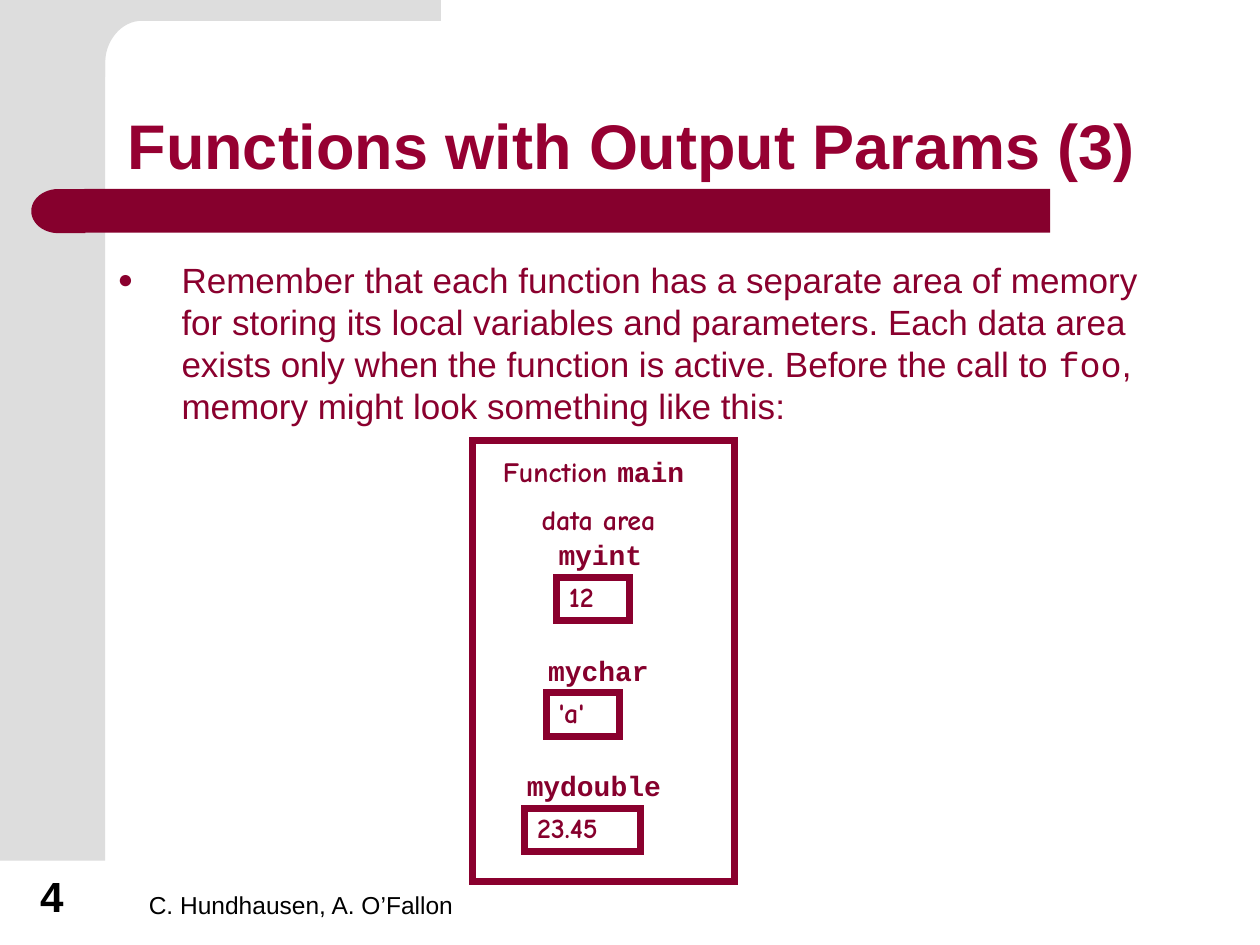
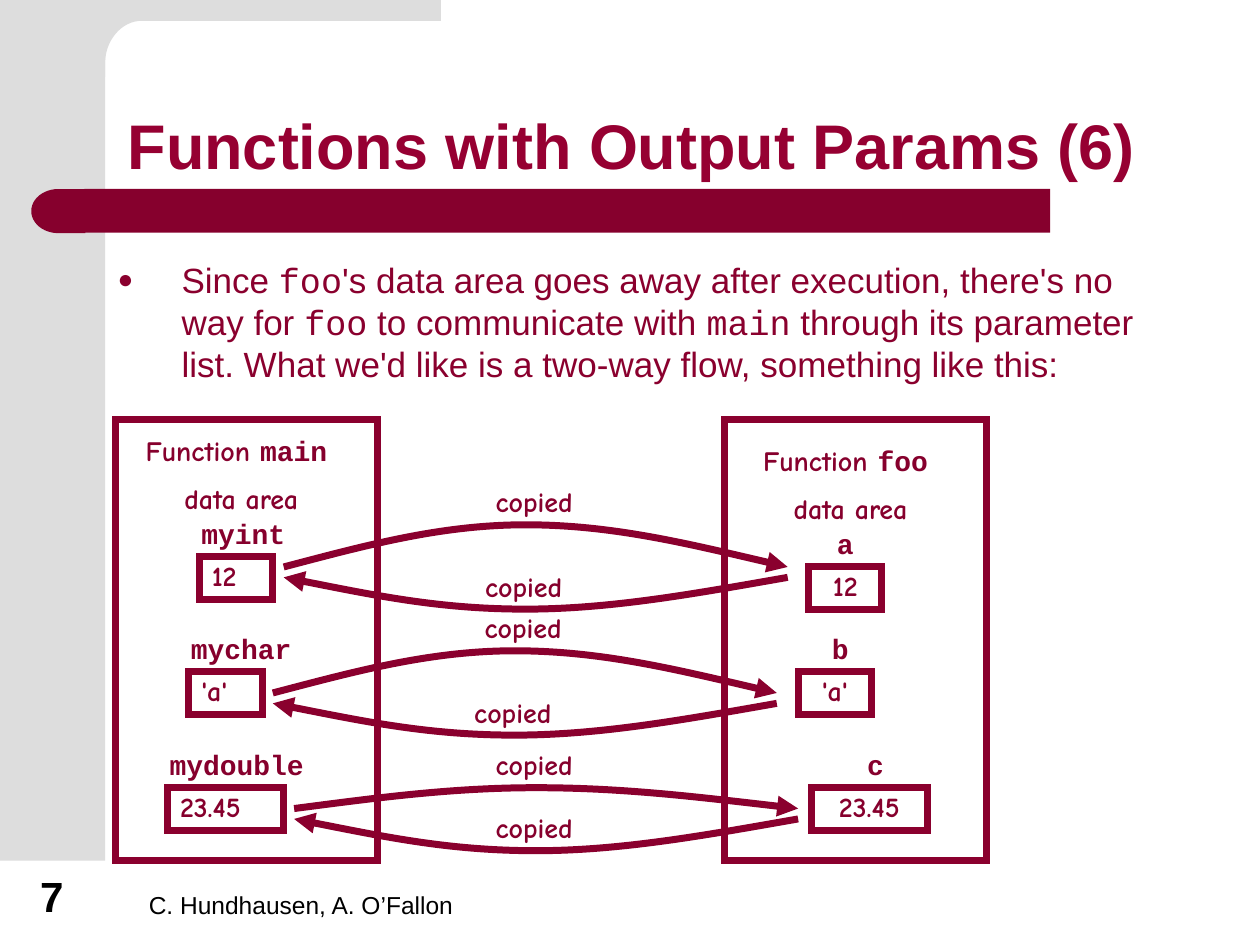
import lxml.etree
import pptx
import pptx.dml.color
import pptx.enum.shapes
import pptx.enum.text
import pptx.oxml.ns
import pptx.util

Cm = pptx.util.Cm
Pt = pptx.util.Pt
KIND = pptx.enum.shapes.MSO_SHAPE
ALIGN = pptx.enum.text.PP_ALIGN
ANCHOR = pptx.enum.text.MSO_ANCHOR
FIT = pptx.enum.text.MSO_AUTO_SIZE

HUE = {"band": "86002D", "line": "8A002E", "title": "960032", "side": "DDDDDD", "foot": "000000"}
SANS, HAND, CODE = "Arial", "Comic Neue", "Courier New"
STROKE = 4
ROW = 0.87
LIFT = 0.85
SPAN = 10.16

MAIN = [
    ("myint", "12", 1.69, 2.75, 1.48, -0.21, 2.54),
    ("mychar", "'a'", 1.48, 5.08, 1.48, -0.21, 2.97),
    ("mydouble", "23.45", 1.05, 7.41, 2.33, -0.21, 3.81),
]
FOO = [
    ("a", "12", 1.69, 2.96, 1.48, -0.21, 1.9),
    ("b", "'a'", 1.48, 5.08, 1.48, -0.21, 2.12),
    ("c", "23.45", 1.75, 7.41, 2.33, 0.23, 2.12),
]
FLOWS = [(5.72, 11.43, 0.85, 4.02), (5.5, 13.97, 0.85, 4.02), (5.93, 16.3, 0.42, 3.81)]
KNOTS = [(0, 0), (0.16, 0.5), (0.31, 1), (0.48, 1), (0.65, 1), (0.82, 0.5), (1, 0)]


def tint(name):
    """Return the named colour."""
    return pptx.dml.color.RGBColor.from_string(HUE[name])


def node(parent, tag, **attrs):
    """Append a drawing element to a parent."""
    return lxml.etree.SubElement(parent, pptx.oxml.ns.qn("a:" + tag), **attrs)


def write(para, runs, size, color, bold=False):
    """Add (text, font) runs to a paragraph."""
    for text, font in runs:
        run = para.add_run()
        run.text = text
        run.font.name = font
        run.font.size = Pt(size)
        run.font.bold = bold
        run.font.color.rgb = tint(color)


def text_box(slide, box):
    """Add a wrapping text box and return it."""
    shape = slide.shapes.add_textbox(*map(Cm, box))
    shape.text_frame.word_wrap = True
    return shape


def note(shape, lines, align=ALIGN.LEFT):
    """Fill a shape with bold diagram text."""
    frame = shape.text_frame
    frame.word_wrap = True
    frame.auto_size = FIT.SHAPE_TO_FIT_TEXT
    frame.vertical_anchor = ANCHOR.TOP
    for i, runs in enumerate(lines):
        para = frame.add_paragraph() if i else frame.paragraphs[0]
        para.alignment = align
        para.line_spacing = 0.9
        para.space_before = Pt(10)
        write(para, runs, 16, "band", True)


def solid(shape, color):
    """Give a shape a flat fill without outline."""
    shape.shadow.inherit = False
    shape.fill.solid()
    shape.fill.fore_color.rgb = tint(color)
    shape.line.fill.background()


def stroke(shape):
    """Give a shape the thick outline and no fill."""
    shape.shadow.inherit = False
    shape.fill.background()
    shape.line.color.rgb = tint("line")
    shape.line.width = Pt(STROKE)
    return shape.line._get_or_add_ln()


def frame_box(slide, box):
    """Add an outlined rectangle with sharp corners."""
    shape = slide.shapes.add_shape(KIND.RECTANGLE, *map(Cm, box))
    node(stroke(shape), "miter", lim="800000")
    return shape


def outline(slide, points, bends, close=False):
    """Build a freeform whose segments from each bend index form a cubic curve."""
    dots = [(Cm(x), Cm(y)) for x, y in points]
    pen = slide.shapes.build_freeform(*dots[0])
    pen.add_line_segments(dots[1:], close=close)
    shape = pen.convert_to_shape()
    lines = list(shape._element.iter(pptx.oxml.ns.qn("a:lnTo")))
    for start in bends:
        cubic = lxml.etree.Element(pptx.oxml.ns.qn("a:cubicBezTo"))
        lines[start].addprevious(cubic)
        for line in lines[start:start + 3]:
            cubic.append(line[0])
            line.getparent().remove(line)
    return shape


def backdrop(slide):
    """Draw the grey side, its rounded corner and the band."""
    side = slide.shapes.add_shape(KIND.RECTANGLE, 0, 0, Cm(2.12), Cm(17.35))
    solid(side, "side")
    edge = [(1.27, 0), (8.89, 0), (8.89, 0.42), (2.86, 0.42),
            (2.45, 0.42), (2.12, 0.82), (2.12, 1.27), (2.12, 1.55), (1.27, 1.55)]
    solid(outline(slide, edge, [3], True), "side")
    band = slide.shapes.add_shape(KIND.RECTANGLE, Cm(1.7), Cm(3.81), Cm(19.47), Cm(0.88))
    solid(band, "band")
    cap = slide.shapes.add_shape(KIND.FLOWCHART_DELAY, Cm(0.63), Cm(3.81), Cm(1.09), Cm(0.89))
    cap.rotation = 180
    solid(cap, "band")


def footer(slide, number):
    """Write the authors and the page number."""
    for box, text, size, bold, align in (
        ((2.75, 17.35, 9.53, 1.32), "C. Hundhausen, A. O’Fallon", 14, False, ALIGN.LEFT),
        ((0.23, 17.35, 1.63, 1.35), number, 24.1, True, ALIGN.CENTER),
    ):
        frame = text_box(slide, box).text_frame
        frame.vertical_anchor = ANCHOR.BOTTOM
        frame.paragraphs[0].alignment = align
        write(frame.paragraphs[0], [(text, SANS)], size, "foot", bold)


def heading(slide, text):
    """Place and format the title."""
    title = slide.shapes.title
    title.left, title.top, title.width, title.height = map(Cm, (2.32, 1.04, 21.62, 2.77))
    frame = title.text_frame
    frame.auto_size = FIT.NONE
    frame.vertical_anchor = ANCHOR.BOTTOM
    para = frame.paragraphs[0]
    para.alignment = ALIGN.LEFT
    para.line_spacing = 0.9
    write(para, [(text, SANS)], 36, "title", True)


def bullet(slide, runs):
    """Write the bulleted body text."""
    para = text_box(slide, (2.12, 5.08, 21.36, 10.34)).text_frame.paragraphs[0]
    para.space_before = Pt(5)
    props = para._p.get_or_add_pPr()
    props.set("marL", str(Cm(1.29)))
    props.set("indent", str(-Cm(1.29)))
    node(node(props, "buClr"), "srgbClr", val=HUE["line"])
    node(props, "buSzPct", val="75000")
    node(props, "buFont", typeface=SANS)
    node(props, "buChar", char="●")
    write(para, runs, 20, "line")


def base(deck, title, number, runs):
    """Add a slide with all the shared parts."""
    slide = deck.slides.add_slide(deck.slide_layouts[5])
    backdrop(slide)
    footer(slide, number)
    heading(slide, title)
    bullet(slide, runs)
    return slide


def area(slide, left, top, name, slots, drop=0.23, align=ALIGN.LEFT):
    """Draw the data area of one function."""
    head = text_box(slide, (left + 0.21, top + drop, 4.65, 1.83))
    title = [("Function ", HAND), (name, CODE), (" ", HAND)]
    note(head, [title, [("data area", HAND)]], ALIGN.CENTER)
    frame_box(slide, (left, top, 5.28, 8.89))
    for label, value, x, y, width, shift, room in slots:
        cell = frame_box(slide, (left + x, top + y, width, ROW))
        note(cell, [[(value, HAND)]], align)
        tag = text_box(slide, (left + x + shift, top + y - LIFT, room, ROW))
        note(tag, [[(label, CODE)]], align)


def flow(slide, left, top, rise, lead):
    """Draw the copy arrows there and back with their labels."""
    for x, y in ((lead, -rise - LIFT), (3.81, 0)):
        note(text_box(slide, (left + x, top + y, 3.18, ROW)), [[("copied", HAND)]])
    for drop, bulge, end in ((0, -rise, "tailEnd"), (0.21, 0.64, "headEnd")):
        points = [(left + SPAN * x, top + drop + bulge * y) for x, y in KNOTS]
        node(stroke(outline(slide, points, [0, 3])), end, type="triangle")


def before(deck):
    """Build the slide with memory before the call."""
    slide = base(deck, "Functions with Output Params (3)", "4", [
        ("Remember that each function has a separate area of memory for storing its local "
         "variables and parameters. Each data area exists only when the function is active. "
         "Before the call to ", SANS),
        ("foo", CODE),
        (", memory might look something like this:", SANS),
    ])
    area(slide, 9.53, 8.89, "main", MAIN)


def both(deck):
    """Build the slide with the two-way flow."""
    slide = base(deck, "Functions with Output Params (6)", "7", [
        ("Since ", SANS),
        ("foo", CODE),
        ("'s data area goes away after execution, there's no way for ", SANS),
        ("foo", CODE),
        (" to communicate with ", SANS),
        ("main", CODE),
        (" through its parameter list. What we'd like is a two-way flow, "
         "something like this:", SANS),
    ])
    area(slide, 2.33, 8.46, "main", MAIN)
    area(slide, 14.61, 8.46, "foo", FOO, 0.43, ALIGN.CENTER)
    for item in FLOWS:
        flow(slide, *item)


def main():
    """Build and save the deck."""
    deck = pptx.Presentation()
    deck.slide_width, deck.slide_height = Cm(25.4), Cm(19.05)
    before(deck)
    both(deck)
    deck.save("out.pptx")


if __name__ == "__main__":
    main()
